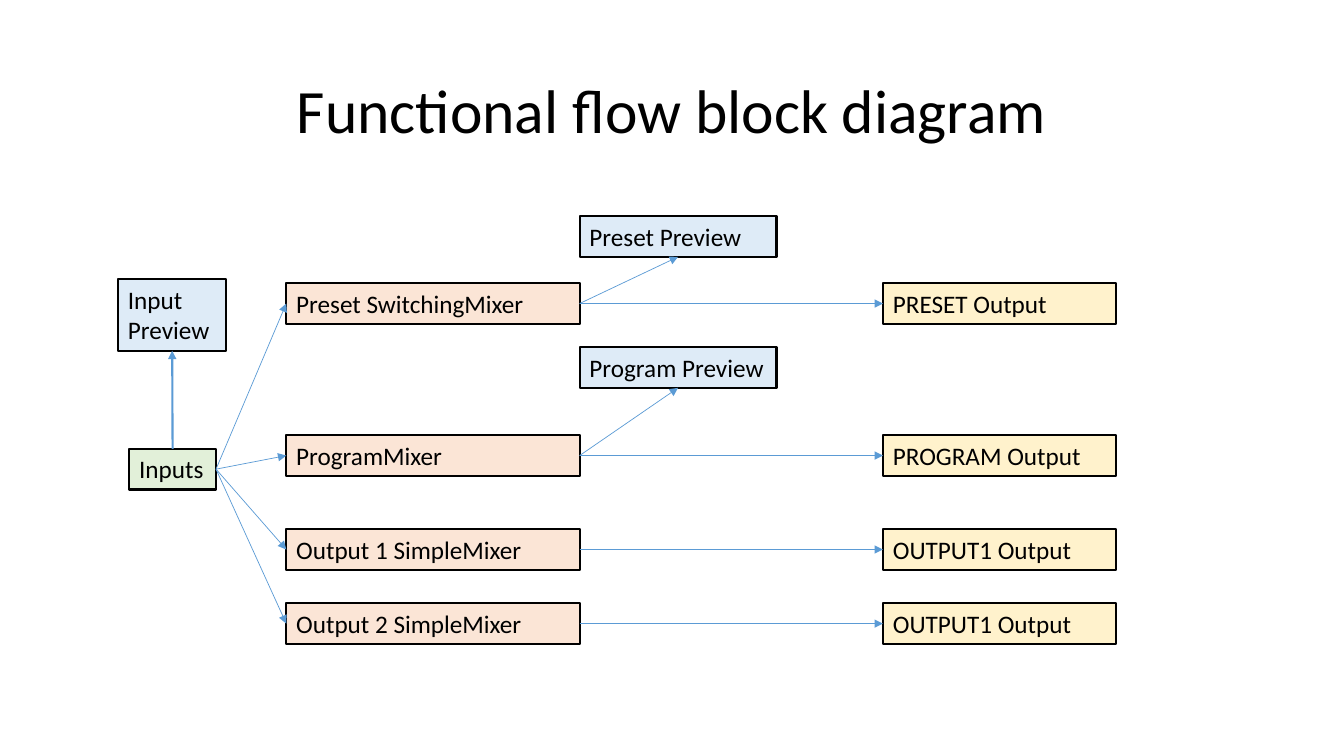
"""Build the functional flow block diagram slide."""
from lxml import etree
from pptx import Presentation
from pptx.dml.color import RGBColor
from pptx.enum.shapes import MSO_CONNECTOR, MSO_SHAPE
from pptx.enum.text import MSO_ANCHOR, MSO_AUTO_SIZE, PP_ALIGN
from pptx.oxml.ns import qn
from pptx.util import Pt

RECTANGLE = MSO_SHAPE.RECTANGLE
STRAIGHT = MSO_CONNECTOR.STRAIGHT
MIDDLE, TOP_ANCHOR = MSO_ANCHOR.MIDDLE, MSO_ANCHOR.TOP
CENTER, LEFT_ALIGN = PP_ALIGN.CENTER, PP_ALIGN.LEFT
NO_FIT, GROW = MSO_AUTO_SIZE.NONE, MSO_AUTO_SIZE.SHAPE_TO_FIT_TEXT
TOP, LEFT, BOTTOM, RIGHT = range(4)
TITLE_ONLY = 5

FONT = "Calibri"
BOX_HEIGHT = 29.08
MIXER_LEFT, MIXER_WIDTH = 204.5, 209.5
OUTPUT_LEFT, OUTPUT_WIDTH = 630.7, 166.5
PREVIEW_LEFT, PREVIEW_WIDTH = MIXER_LEFT + MIXER_WIDTH, 140.7
COLORS = {
    "input": "E2F0D9",
    "mixer": "FBE5D6",
    "output": "FFF2CC",
    "preview": "DEEBF7",
    "arrow": "5B9BD5",
    "black": "000000",
}
CHANNELS = [
    (202.3, "Preset SwitchingMixer", "PRESET Output", 154.4, "Preset Preview"),
    (310.9, "ProgramMixer", "PROGRAM Output", 248, "Program Preview"),
    (378, "Output 1 SimpleMixer", "OUTPUT1 Output", None, None),
    (430.9, "Output 2 SimpleMixer", "OUTPUT1 Output", None, None),
]

presentation = Presentation()
presentation.slide_width = Pt(960)
presentation.slide_height = Pt(540)
slide = presentation.slides.add_slide(presentation.slide_layouts[TITLE_ONLY])


def add_box(text, kind, left, top, width, height=BOX_HEIGHT):
    """Add a filled, outlined block with left-aligned text."""
    box = slide.shapes.add_shape(RECTANGLE, Pt(left), Pt(top), Pt(width), Pt(height))
    box.shadow.inherit = False
    box.fill.solid()
    box.fill.fore_color.rgb = RGBColor.from_string(COLORS[kind])
    box.line.color.rgb = RGBColor.from_string(COLORS["black"])
    box.line.width = Pt(1.5)
    frame = box.text_frame
    frame.text = text
    frame.word_wrap = True
    frame.auto_size = GROW
    frame.vertical_anchor = TOP_ANCHOR
    paragraph = frame.paragraphs[0]
    paragraph.alignment = LEFT_ALIGN
    font = paragraph.runs[0].font
    font.name = FONT
    font.size = Pt(18)
    font.color.rgb = RGBColor.from_string(COLORS["black"])
    return box


def add_arrow(source, source_side, target, target_side, width=0.5):
    """Join two blocks with an arrow glued to the given sides."""
    arrow = slide.shapes.add_connector(STRAIGHT, 0, 0, 0, 0)
    arrow.begin_connect(source, source_side)
    arrow.end_connect(target, target_side)
    arrow.line.color.rgb = RGBColor.from_string(COLORS["arrow"])
    arrow.line.width = Pt(width)
    etree.SubElement(arrow.line._get_or_add_ln(), qn("a:tailEnd"), type="triangle")
    etree.SubElement(arrow._element.spPr, qn("a:effectLst"))


title = slide.shapes.title
title.left, title.top, title.width, title.height = Pt(66), Pt(28.75), Pt(828), Pt(104.4)
title.text_frame.text = "Functional flow block diagram"
title.text_frame.vertical_anchor = MIDDLE
title.text_frame.auto_size = NO_FIT
title_paragraph = title.text_frame.paragraphs[0]
title_paragraph.alignment = CENTER
title_paragraph.line_spacing = 0.9
title_font = title_paragraph.runs[0].font
title_font.name = FONT
title_font.size = Pt(44)
title_font.color.rgb = RGBColor.from_string(COLORS["black"])

inputs = add_box("Inputs", "input", 92.3, 320.6, 62)
input_preview = add_box("Input Preview", "preview", 84.3, 199.6, 77.4, 50.9)
add_arrow(inputs, TOP, input_preview, BOTTOM, 1.5)

for top, mixer_name, output_name, preview_top, preview_name in CHANNELS:
    mixer = add_box(mixer_name, "mixer", MIXER_LEFT, top, MIXER_WIDTH)
    output = add_box(output_name, "output", OUTPUT_LEFT, top, OUTPUT_WIDTH)
    add_arrow(inputs, RIGHT, mixer, LEFT)
    add_arrow(mixer, RIGHT, output, LEFT)
    if preview_name:
        preview = add_box(preview_name, "preview", PREVIEW_LEFT, preview_top, PREVIEW_WIDTH)
        add_arrow(mixer, RIGHT, preview, BOTTOM)

presentation.save("out.pptx")
